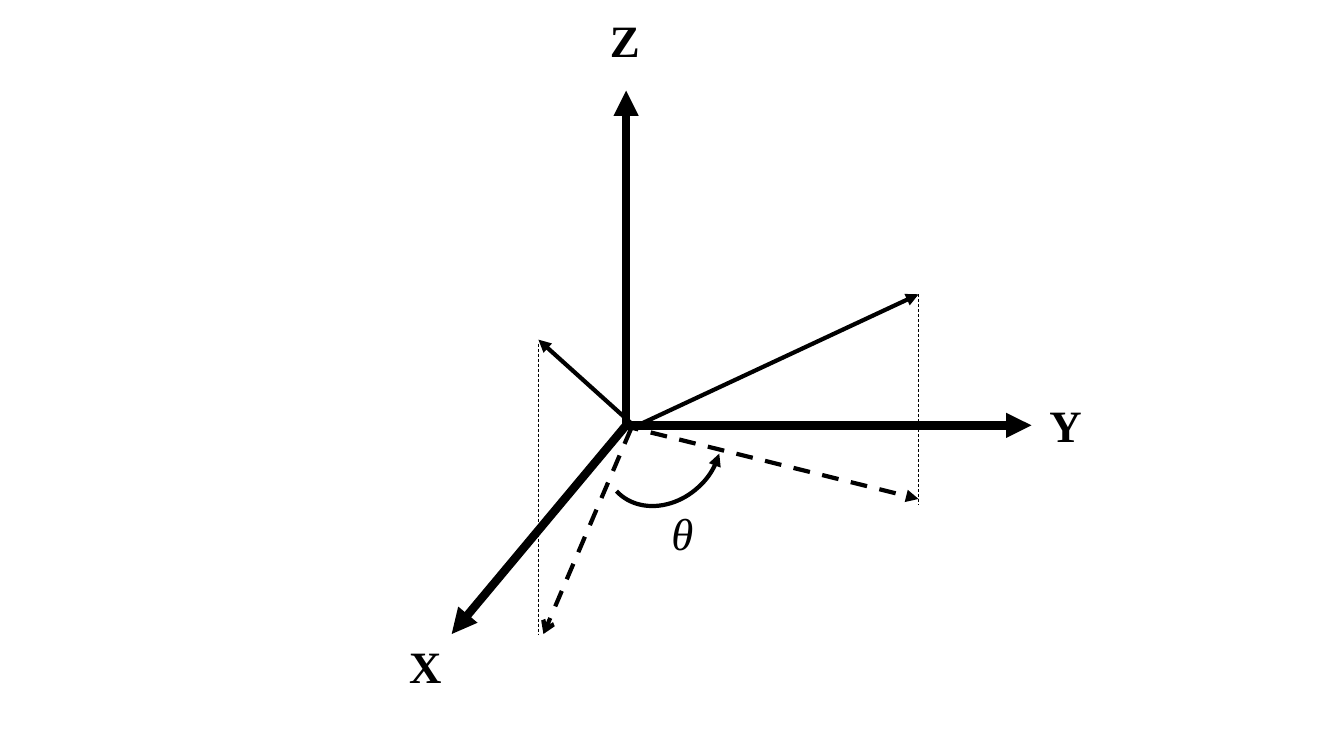
from lxml.etree import SubElement
from pptx import Presentation
from pptx.dml.color import RGBColor
from pptx.enum.dml import MSO_LINE
from pptx.enum.shapes import MSO_CONNECTOR, MSO_SHAPE
from pptx.enum.text import MSO_AUTO_SIZE
from pptx.oxml.ns import qn
from pptx.util import Inches, Pt

WIDTH, HEIGHT = 13.33, 7.5
FONT = "Times New Roman"
COLORS = {"ink": "000000"}
AXIS, VECTOR, GUIDE = 6, 3, 0.5  # line widths in points

ORIGIN = (6.21, 4.22)
LEFT_X, RIGHT_X = 5.34, 9.11  # verticals through the two vector tips
RIGHT_TIP = (RIGHT_X, 2.92)
FLOOR = 6.29  # lowest level: X axis tip, left projection and guide

# start, end, width, dashed, arrowhead at the end
LINES = [
    (ORIGIN, (4.48, FLOOR), AXIS, False, "triangle"),
    (ORIGIN, (6.21, 0.9), AXIS, False, "triangle"),
    ((6.17, 4.22), (10.23, 4.22), AXIS, False, "triangle"),
    ((6.26, 4.25), RIGHT_TIP, VECTOR, False, "triangle"),
    ((6.17, 4.22), (RIGHT_X, 4.95), VECTOR, True, "triangle"),
    (RIGHT_TIP, (RIGHT_X, 5.01), GUIDE, True, None),
    ((6.25, 4.19), (LEFT_X, 3.37), VECTOR, False, "triangle"),
    ((6.26, 4.25), (5.39, FLOOR), VECTOR, True, "arrow"),
    ((LEFT_X, 3.41), (LEFT_X, FLOOR), GUIDE, True, None),
]

# text, left, top, width, format
LABELS = [
    ("Z", 5.95, 0.08, 0.5, {"bold": True}),
    ("Y", 10.31, 3.9, 0.53, {"bold": True}),
    ("X", 3.96, FLOOR, 0.53, {"bold": True}),
    ("θ", 6.56, 4.97, 0.42, {"italic": True}),
]
LABEL_HEIGHT = 0.64

ARC_BOX = (5.95, 3.93, 1.25, 1.04)
ARC_ROTATION = 137.5
ARC_ANGLES = (136.56, 0)


def style_line(shape, width, dashed=False, head=None, end="a:tailEnd"):
    line = shape.line
    line.color.rgb = RGBColor.from_string(COLORS["ink"])
    line.width = Pt(width)
    if dashed:
        line.dash_style = MSO_LINE.DASH
    properties = shape._element.spPr
    if head:
        SubElement(properties.find(qn("a:ln")), qn(end), type=head)
    if properties.find(qn("a:effectLst")) is None:
        SubElement(properties, qn("a:effectLst"))


def add_line(slide, start, end, width, dashed, head):
    points = [Inches(value) for value in (*start, *end)]
    connector = slide.shapes.add_connector(MSO_CONNECTOR.STRAIGHT, *points)
    style_line(connector, width, dashed, head)


def add_angle_arc(slide):
    box = [Inches(value) for value in ARC_BOX]
    arc = slide.shapes.add_shape(MSO_SHAPE.ARC, *box)
    for index, angle in enumerate(ARC_ANGLES):
        arc.adjustments[index] = angle
    arc.rotation = ARC_ROTATION
    arc.fill.background()
    style_line(arc, VECTOR, head="triangle", end="a:headEnd")


def add_text(slide, text, left, top, width, size=32, bold=False, italic=False):
    box = [Inches(value) for value in (left, top, width, LABEL_HEIGHT)]
    frame = slide.shapes.add_textbox(*box).text_frame
    frame.word_wrap = False
    frame.auto_size = MSO_AUTO_SIZE.SHAPE_TO_FIT_TEXT
    run = frame.paragraphs[0].add_run()
    run.text = text
    font = run.font
    font.name, font.size = FONT, Pt(size)
    font.bold, font.italic = bold, italic
    font.color.rgb = RGBColor.from_string(COLORS["ink"])


def main():
    presentation = Presentation()
    presentation.slide_width = Inches(WIDTH)
    presentation.slide_height = Inches(HEIGHT)
    slide = presentation.slides.add_slide(presentation.slide_layouts[6])
    for line in LINES:
        add_line(slide, *line)
    add_angle_arc(slide)
    for text, left, top, width, style in LABELS:
        add_text(slide, text, left, top, width, **style)
    presentation.save("out.pptx")


if __name__ == "__main__":
    main()
